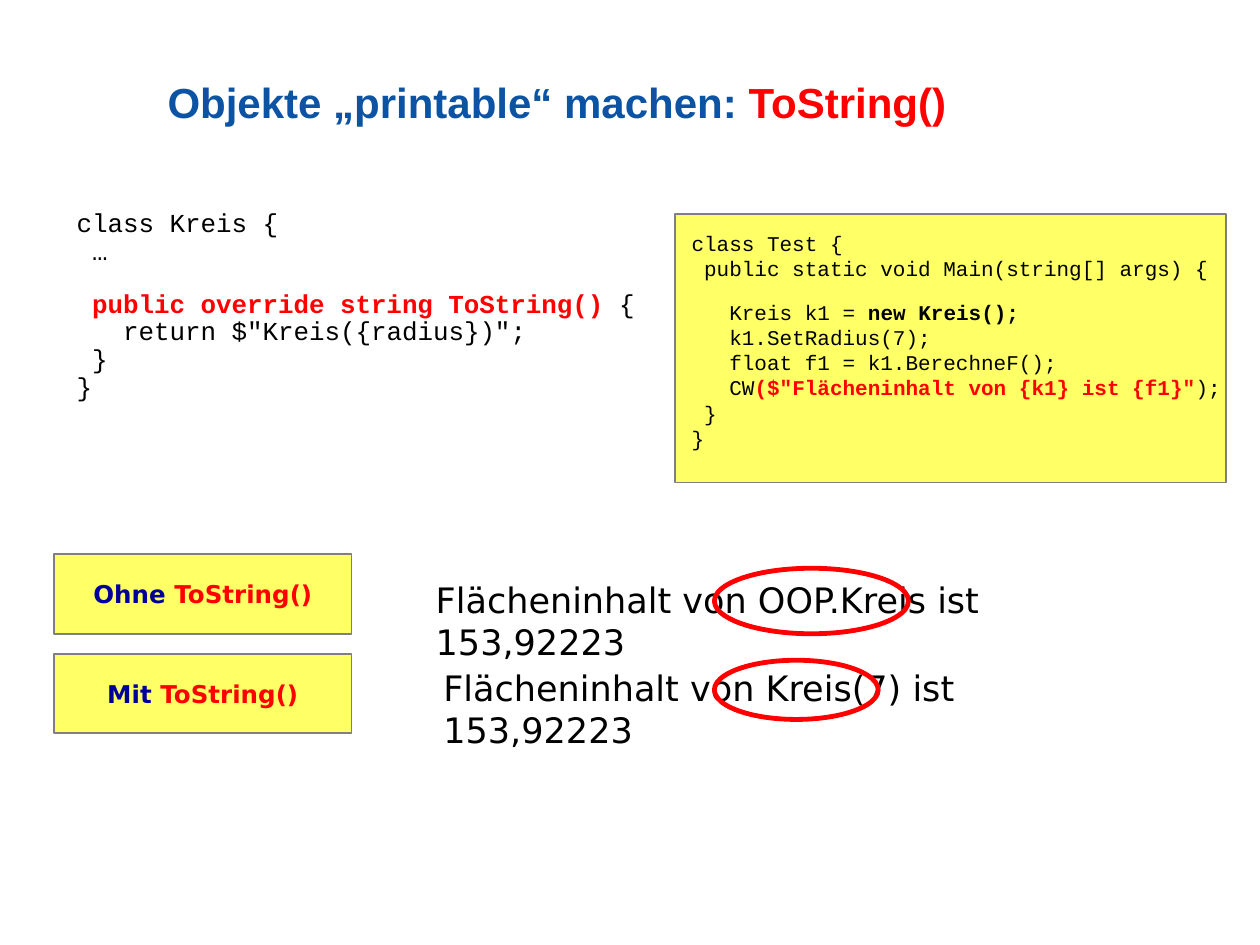
from pptx import Presentation
from pptx.dml.color import RGBColor
from pptx.enum.shapes import MSO_SHAPE
from pptx.enum.text import MSO_ANCHOR, PP_ALIGN
from pptx.util import Inches, Pt

RECT, OVAL = MSO_SHAPE.RECTANGLE, MSO_SHAPE.OVAL
MIDDLE = MSO_ANCHOR.MIDDLE
LEFT, CENTER = PP_ALIGN.LEFT, PP_ALIGN.CENTER

BLACK = RGBColor(0x00, 0x00, 0x00)
RED = RGBColor(0xFF, 0x00, 0x00)
BLUE = RGBColor(0x0C, 0x53, 0xA3)
NAVY = RGBColor(0x00, 0x00, 0x99)
YELLOW = RGBColor(0xFF, 0xFF, 0x66)
GRAY = RGBColor(0x80, 0x80, 0x80)
MONO, SANS = "Courier New", "DejaVu Sans"


def write(para, runs, font, size):
    """Add (text, color, bold) runs; a newline becomes a line break."""
    for text, color, bold in runs:
        for i, line in enumerate(text.split("\n")):
            if i:
                para.add_line_break()
            if line:
                run = para.add_run()
                run.text = line
                run.font.name = font
                run.font.size = Pt(size)
                run.font.bold = bold
                run.font.color.rgb = color


def draw(kind, box, fill, line, width):
    """Add a preset shape without shadow; fill None leaves it open."""
    shape = slide.shapes.add_shape(kind, *map(Inches, box))
    shape.shadow.inherit = False
    if fill is None:
        shape.fill.background()
    else:
        shape.fill.solid()
        shape.fill.fore_color.rgb = fill
    shape.line.color.rgb = line
    shape.line.width = Pt(width)
    return shape


prs = Presentation()
prs.slide_width, prs.slide_height = Inches(10), Inches(7.5)
slide = prs.slides.add_slide(prs.slide_layouts[5])

# Title
title = slide.shapes.title
title.left, title.top = Inches(1.33), Inches(0.33)
title.width, title.height = Inches(8.5), Inches(1)
frame = title.text_frame
frame.margin_left = frame.margin_right = 0
frame.margin_top = frame.margin_bottom = 0
frame.vertical_anchor = MIDDLE
para = frame.paragraphs[0]
para.alignment = LEFT
para.line_spacing = 0.95
write(para, [("Objekte „printable“ machen: ", BLUE, True),
             ("ToString()", RED, True)], "Arial", 24)

# Code listings
draw(RECT, (5.36, 1.7, 4.37, 2.13), YELLOW, GRAY, 1)

circle = [
    [("class Kreis {\n …", BLACK, False)],
    [(" ", BLACK, False),
     ("public override string ToString()", RED, True),
     (' {\n   return $"Kreis({radius})";\n }\n}', BLACK, False)],
]
test = [
    [("class Test {\n public static void Main(string[] args) {", BLACK, False)],
    [("   Kreis k1 = ", BLACK, False),
     ("new Kreis();\n", BLACK, True),
     ("   k1.SetRadius(7);\n   float f1 = k1.BerechneF();\n   CW", BLACK, False),
     ('($"Flächeninhalt von {k1} ist {f1}"', RED, True),
     (");\n }\n}", BLACK, False)],
]
codes = [
    ((0.51, 1.62, 5.67, 1.97), circle, 14.8, 0.9, 4, 10),
    ((5.39, 1.78, 4.53, 2.2), test, 12, 1.0, 3, 7.5),
]
for box, paras, size, lead, before, after in codes:
    frame = slide.shapes.add_textbox(*map(Inches, box)).text_frame
    frame.word_wrap = True
    for i, runs in enumerate(paras):
        para = frame.add_paragraph() if i else frame.paragraphs[0]
        para.line_spacing = lead
        para.space_before = Pt(before if i else 0)
        para.space_after = Pt(after)
        write(para, runs, MONO, size)

# Output without and with ToString()
rows = [
    ("Ohne ", 4.4, "OOP.Kreis", (3.36, 4.54, 5.7, 0.44), (5.67, 4.51, 1.54, 0.52)),
    ("Mit ", 5.19, "Kreis(7)", (3.42, 5.24, 5.35, 0.44), (5.67, 5.24, 1.3, 0.47)),
]
for word, top, value, box, ring in rows:
    label = draw(RECT, (0.43, top, 2.36, 0.63), YELLOW, GRAY, 1)
    label.text_frame.vertical_anchor = MIDDLE
    para = label.text_frame.paragraphs[0]
    para.alignment = CENTER
    write(para, [(word, NAVY, True), ("ToString()", RED, True)], SANS, 14)

    frame = slide.shapes.add_textbox(*map(Inches, box)).text_frame
    frame.word_wrap = True
    text = f"Flächeninhalt von {value} ist 153,92223"
    write(frame.paragraphs[0], [(text, BLACK, False)], SANS, 20)
    draw(OVAL, ring, None, RED, 2.75)

prs.save("out.pptx")
